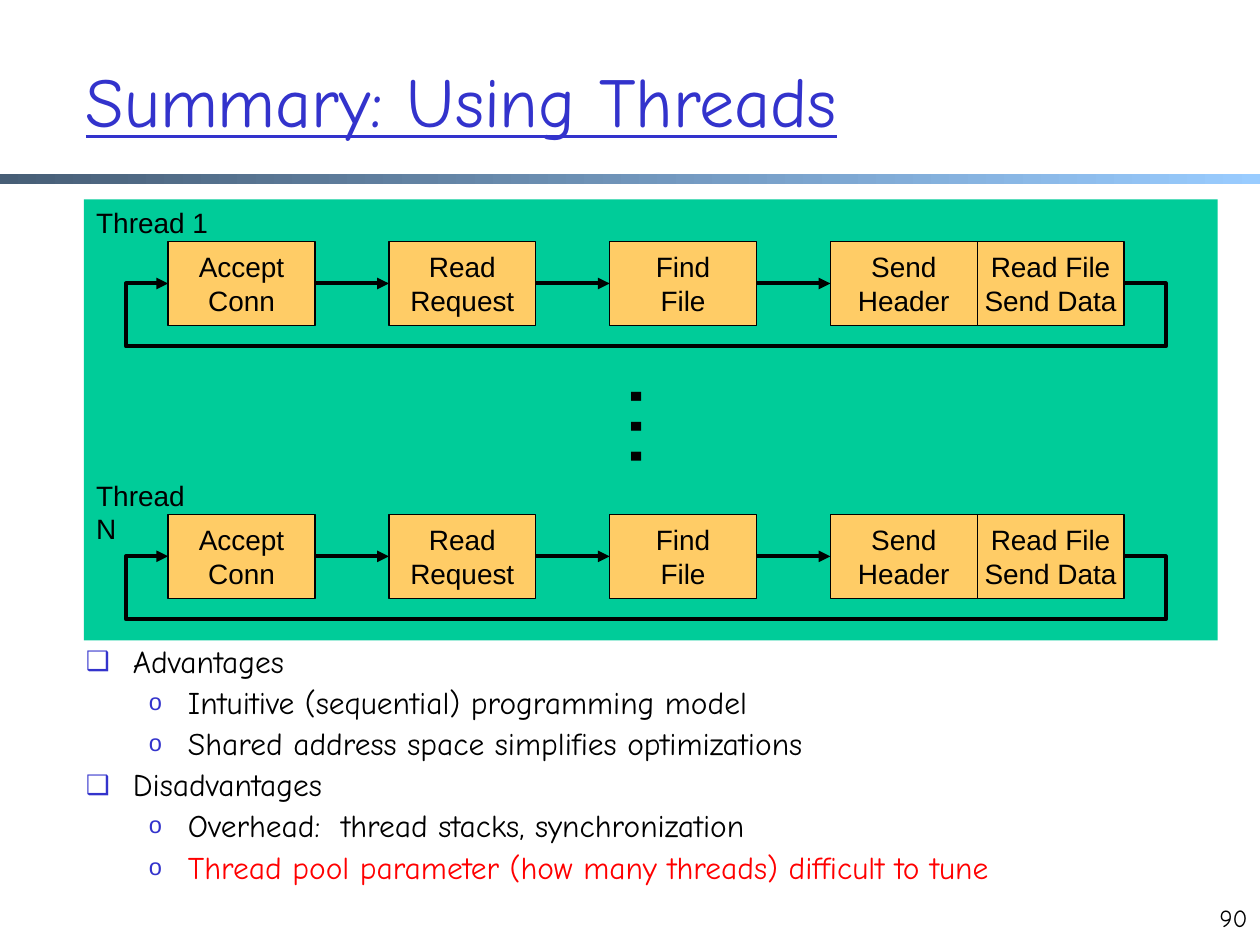
from lxml import etree
from pptx import Presentation
from pptx.dml.color import RGBColor
from pptx.enum.shapes import MSO_CONNECTOR, MSO_SHAPE
from pptx.enum.text import MSO_ANCHOR, PP_ALIGN
from pptx.oxml.ns import qn
from pptx.util import Cm, Pt

RECTANGLE = MSO_SHAPE.RECTANGLE
STRAIGHT = MSO_CONNECTOR.STRAIGHT
MIDDLE = MSO_ANCHOR.MIDDLE
CENTER, RIGHT = PP_ALIGN.CENTER, PP_ALIGN.RIGHT
RIGHT_SIDE, LEFT_SIDE = 3, 1

COLORS = {
    "blue": "3333CC", "black": "000000", "red": "FF0000", "panel": "00CC99",
    "stage": "FFCC66", "rule_dark": "475E76", "rule_light": "99CCFF",
}
RGB = {name: RGBColor.from_string(value) for name, value in COLORS.items()}


def write(shape, text, font, size, color="black", align=None, wrap=True):
    """Fill a shape with paragraphs, one per line of text."""
    frame = shape.text_frame
    frame.text = text
    frame.word_wrap = wrap
    for paragraph in frame.paragraphs:
        paragraph.alignment = align
        paragraph.font.name = font
        paragraph.font.size = Pt(size)
        paragraph.font.color.rgb = RGB[color]
    return frame


def style_arrow(arrow):
    arrow.line.color.rgb = RGB["black"]
    arrow.line.width = Pt(2.25)
    etree.SubElement(arrow.line._get_or_add_ln(), qn("a:tailEnd"), type="triangle")
    etree.SubElement(arrow._element.spPr, qn("a:effectLst"))


prs = Presentation()
prs.slide_width, prs.slide_height = Cm(25.4), Cm(19.05)
slide = prs.slides.add_slide(prs.slide_layouts[6])
shapes = slide.shapes

# Title and the rule below it
rule = shapes.add_shape(RECTANGLE, 0, Cm(3.51), prs.slide_width, Cm(0.2))
rule.shadow.inherit = False
rule.line.fill.background()
rule.fill.gradient()
rule.fill.gradient_angle = 0
for stop, name in zip(rule.fill.gradient_stops, ("rule_dark", "rule_light")):
    stop.color.rgb = RGB[name]
    stop.position = 0 if name == "rule_dark" else 1

title = shapes.add_textbox(Cm(1.48), Cm(1.27), Cm(21.59), Cm(1.48))
title_frame = write(title, "Summary: Using Threads", "Comic Neue", 40, "blue")
title_frame.vertical_anchor = MIDDLE
title_frame.paragraphs[0].font.underline = True

# Advantages and disadvantages
POINTS = [
    (0, "Advantages", "black"),
    (1, "Intuitive (sequential) programming model", "black"),
    (1, "Shared address space simplifies optimizations", "black"),
    (0, "Disadvantages", "black"),
    (1, "Overhead:  thread stacks, synchronization", "black"),
    (1, "Thread pool parameter (how many threads) difficult to tune", "red"),
]
# level: bullet, size in percent, left margin, hanging indent
BULLETS = [("❑", 85, Cm(0.95), Cm(-0.95)), ("o", 75, Cm(2.06), Cm(-0.79))]

points_box = shapes.add_textbox(Cm(1.48), Cm(12.9), Cm(21.59), Cm(5.08))
points_frame = points_box.text_frame
points_frame.word_wrap = True
for number, (level, text, color) in enumerate(POINTS):
    point = points_frame.add_paragraph() if number else points_frame.paragraphs[0]
    point.text = text
    point.level = level
    bullet, percent, margin, indent = BULLETS[level]
    props = point._p.get_or_add_pPr()
    props.set("marL", str(margin))
    props.set("indent", str(indent))
    bullet_color = etree.SubElement(props, qn("a:buClr"))
    etree.SubElement(bullet_color, qn("a:srgbClr"), val=COLORS["blue"])
    etree.SubElement(props, qn("a:buSzPct"), val=str(percent * 1000))
    etree.SubElement(props, qn("a:buFont"), typeface="Arial")
    etree.SubElement(props, qn("a:buChar"), char=bullet)
    point.line_spacing = 0.9
    if number:
        point.space_before = Pt(4.1)
    point.font.name = "Comic Neue"
    point.font.size = Pt(18)
    point.font.color.rgb = RGB[color]

# Thread diagram
panel = shapes.add_shape(RECTANGLE, Cm(1.69), Cm(4.02), Cm(22.86), Cm(8.89))
panel.shadow.inherit = False
panel.fill.solid()
panel.fill.fore_color.rgb = RGB["panel"]
panel.line.fill.background()

STAGES = ["Accept\nConn", "Read\nRequest", "Find\nFile", "Send\nHeader",
          "Read File\nSend Data"]
STAGE_W, STAGE_H = Cm(2.96), Cm(1.69)
STAGE_LEFTS = [Cm(3.39) + i * Cm(4.45) for i in range(4)]
STAGE_LEFTS.append(STAGE_LEFTS[-1] + STAGE_W)  # the last two stages touch
LOOP_LEFT, LOOP_RIGHT, LOOP_DROP = Cm(2.54), Cm(23.5), Cm(1.27)

for thread, label_top in (("Thread 1", Cm(4.02)), ("Thread N", Cm(9.52))):
    stage_top = label_top + Cm(0.85)
    stages = []
    for text, left in zip(STAGES, STAGE_LEFTS):
        stage = shapes.add_shape(RECTANGLE, left, stage_top, STAGE_W, STAGE_H)
        stage.shadow.inherit = False
        stage.fill.solid()
        stage.fill.fore_color.rgb = RGB["stage"]
        stage.line.color.rgb = RGB["black"]
        stage.line.width = Pt(0.75)
        write(stage, text, "Arial", 16, align=CENTER, wrap=False).vertical_anchor = MIDDLE
        stages.append(stage)

    for source, target in zip(stages[:3], stages[1:4]):
        step = shapes.add_connector(STRAIGHT, 0, 0, 0, 0)
        step.begin_connect(source, RIGHT_SIDE)
        step.end_connect(target, LEFT_SIDE)
        style_arrow(step)

    middle = stage_top + STAGE_H // 2
    bottom = middle + LOOP_DROP
    outline = shapes.build_freeform(STAGE_LEFTS[-1] + STAGE_W, middle)
    outline.add_line_segments(
        [(LOOP_RIGHT, middle), (LOOP_RIGHT, bottom), (LOOP_LEFT, bottom),
         (LOOP_LEFT, middle), (STAGE_LEFTS[0], middle)], close=False)
    loop = outline.convert_to_shape()
    loop.fill.background()
    style_arrow(loop)

    label = shapes.add_textbox(Cm(1.69), label_top, Cm(2.8), Cm(0.94))
    write(label, thread, "Arial", 16, wrap=False)

more_threads = shapes.add_textbox(Cm(12.29), Cm(7.34), Cm(2.41), Cm(2.54))
more_threads.rotation = 90
write(more_threads, "…", "Arial", 54, wrap=False)

page_number = shapes.add_textbox(Cm(24.13), Cm(18.08), Cm(1.27), Cm(1.27))
write(page_number, "90", "Comic Neue", 14, align=RIGHT)

prs.save("out.pptx")
